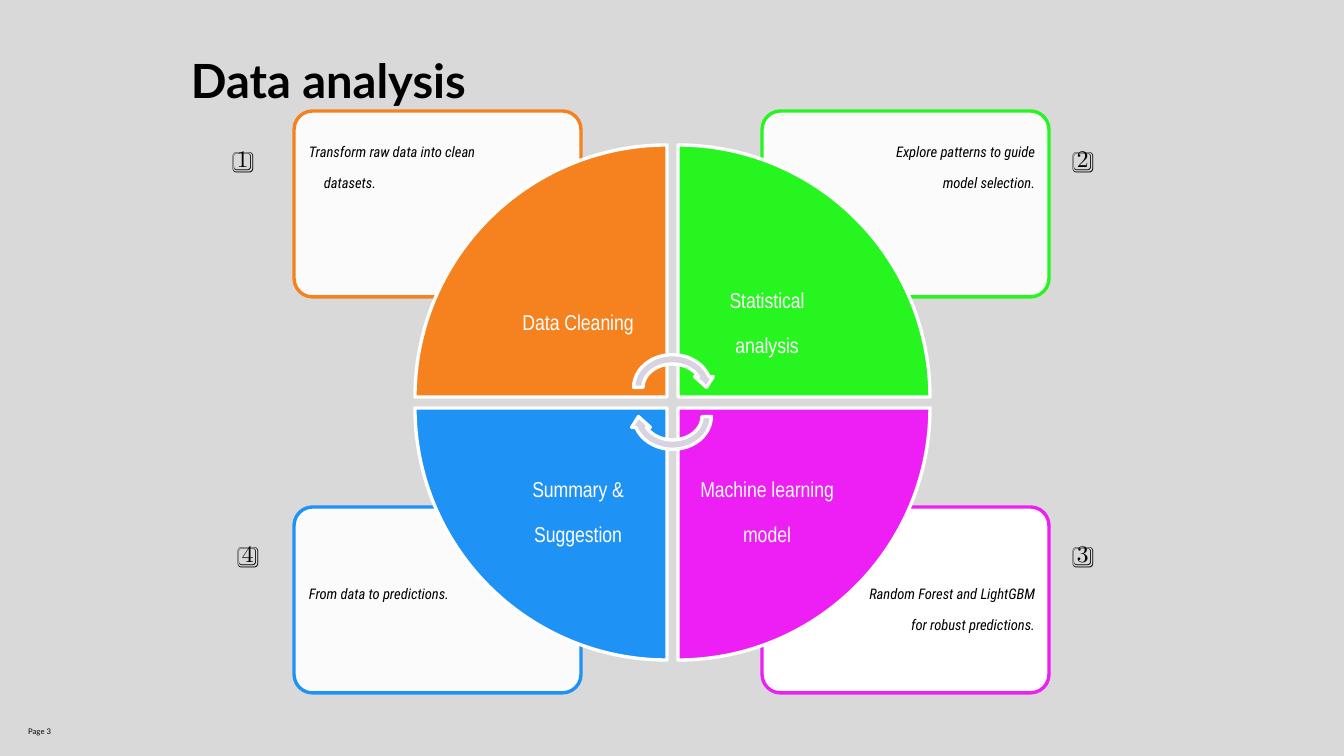
from lxml import etree
from pptx import Presentation
from pptx.dml.color import RGBColor
from pptx.enum.shapes import MSO_SHAPE
from pptx.enum.text import MSO_ANCHOR, PP_ALIGN
from pptx.oxml.ns import qn
from pptx.util import Pt

CARD = MSO_SHAPE.ROUNDED_RECTANGLE
WEDGE = MSO_SHAPE.PIE_WEDGE
ARROW = MSO_SHAPE.CIRCULAR_ARROW
TOP, MID = MSO_ANCHOR.TOP, MSO_ANCHOR.MIDDLE
LEFT, RIGHT, CENTER = PP_ALIGN.LEFT, PP_ALIGN.RIGHT, PP_ALIGN.CENTER

TITLE = "Data analysis"
PAGE = "Page 3"
STEPS = [
    {"name": "Data Cleaning", "note": "Transform raw data into clean datasets.",
     "color": "orange", "key": "1️⃣", "spot": (225, 111, 57, 45), "alpha": 90},
    {"name": "Statistical analysis", "note": "Explore patterns to guide model selection.",
     "color": "green", "key": "2️⃣", "spot": (1065, 111, 54, 45), "alpha": 90},
    {"name": "Machine learning model", "note": "Random Forest and LightGBM for robust predictions.",
     "color": "pink", "key": "3️⃣", "spot": (1065, 506, 50, 45), "alpha": 100},
    {"name": "Summary & Suggestion", "note": "From data to predictions.",
     "color": "blue", "key": "4️⃣", "spot": (230, 506, 58, 45), "alpha": 90},
]
GRID = [(0, 0), (1, 0), (1, 1), (0, 1)]
COLORS = {"back": "D9D9D9", "white": "FFFFFF", "black": "000000", "arrow": "D8D3E0",
          "orange": "F5821F", "green": "27F51F", "pink": "ED1FF5", "blue": "1F92F5"}
SCALE = 7557


def px(n):
    return round(n * SCALE)


def rgb(name):
    return RGBColor.from_string(COLORS[name])


def draw(kind, box, fill, line, turn=0, alpha=100):
    shape = slide.shapes.add_shape(kind, *map(px, box))
    shape.shadow.inherit = False
    shape.rotation = turn
    shape.fill.solid()
    shape.fill.fore_color.rgb = rgb(fill)
    if alpha < 100:
        tint = shape.fill._xPr.find(qn("a:solidFill"))[0]
        etree.SubElement(tint, qn("a:alpha")).set("val", str(alpha * 1000))
    shape.line.color.rgb = rgb(line)
    shape.line.width = Pt(2)
    return shape


def write(text, box, size, font, color="black", align=LEFT, anchor=TOP, pad=(12, 6),
          bold=False, italic=False, sub=True, lead=None, after=0, hang=0):
    frame = slide.shapes.add_textbox(*map(px, box)).text_frame
    frame.word_wrap = True
    frame.vertical_anchor = anchor
    frame.margin_left = frame.margin_right = px(pad[0])
    frame.margin_top = frame.margin_bottom = px(pad[1])
    para = frame.paragraphs[0]
    para.alignment = align
    if lead:
        para.line_spacing = lead
    props = para._p.get_or_add_pPr()
    if after:
        gap = etree.SubElement(props, qn("a:spcAft"))
        etree.SubElement(gap, qn("a:spcPct")).set("val", str(after * 1000))
    if hang:
        props.set("marL", str(px(hang)))
        props.set("indent", str(px(-hang)))
    run = para.add_run()
    run.text = text
    run.font.size = Pt(size)
    run.font.name = font
    run.font.bold = bold
    run.font.italic = italic
    run.font.color.rgb = rgb(color)
    if sub:
        run._r.get_or_add_rPr().set("baseline", "-25000")


deck = Presentation()
deck.slide_width, deck.slide_height = px(1344), px(756)
slide = deck.slides.add_slide(deck.slide_layouts[6])
slide.background.fill.solid()
slide.background.fill.fore_color.rgb = rgb("back")

write(PAGE, (16, 707, 116, 40), 8, "Lato", anchor=MID)

for step, (col, row) in zip(STEPS, GRID):
    card = draw(CARD, (294 + 468 * col, 111 + 396 * row, 287, 186),
                "white", step["color"], alpha=step["alpha"])
    card.adjustments[0] = 0.1
    write(step["note"], (299 + 554 * col, 116 + 442 * row, 192, 132), 15,
          "Roboto Condensed", align=RIGHT if col else LEFT, pad=(10, 10),
          italic=True, lead=0.9, after=15, hang=15)

for i, (step, (col, row)) in enumerate(zip(STEPS, GRID)):
    draw(WEDGE, (415 + 263 * col, 145 + 263 * row, 252, 252),
         step["color"], "white", turn=90 * i)
    write(step["name"], (489 + 189 * col, 219 + 189 * row, 178, 178), 22,
          "Arial Narrow", color="white", align=CENTER, anchor=MID, pad=(21, 21),
          lead=0.9, after=35)

for i in range(2):
    draw(ARROW, (629, 350 + 29 * i, 87, 75), "arrow", "white", turn=180 * i)

write(TITLE, (191, 51, 912, 48), 28, "Lato", pad=(0, 0), bold=True, sub=False)
for step in STEPS:
    write(step["key"], step["spot"], 24, "Cambria")

deck.save("out.pptx")
